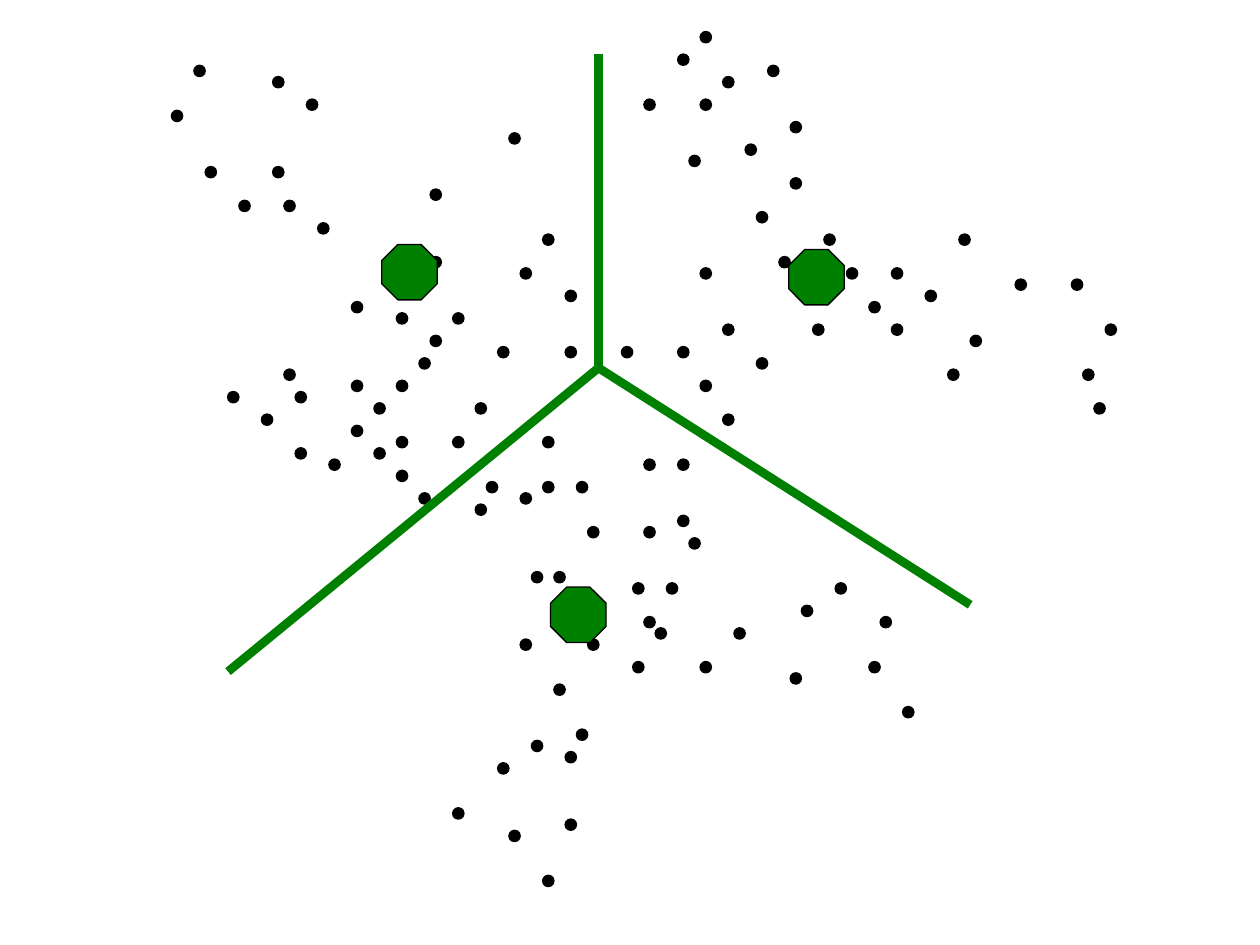
import dataclasses

import pptx
import pptx.dml.color
import pptx.enum.shapes
import pptx.oxml.ns
import pptx.util
from pptx.util import Inches

BLACK, GREEN = "000000", "008000"
SLIDE_WIDTH, SLIDE_HEIGHT = 10, 7.5
DOT_SIZE, CENTROID_SIZE = 0.09, 0.44

# Dots sit on a square grid: 84 steps fill the slide height.
GRID_STEP = SLIDE_HEIGHT / 84
GRID_LEFT, GRID_TOP = 1.36, 0.25

# The three boundaries all start where the clusters meet.
JUNCTION = (4.75, 2.92)
BOUNDARY_ENDS = {
    "left from bottom": (1.81, 5.33),
    "left from right": (4.75, 0.43),
    "right from bottom": (7.7, 4.8),
}


@dataclasses.dataclass
class Cluster:
    """Centroid corner in inches, and the grid columns that hold a dot in each grid row."""
    centroid: tuple
    columns_by_row: dict


BOTTOM = Cluster((4.37, 4.66), {
    36: [33], 38: [42, 45], 40: [28, 33, 36], 41: [31], 42: [27], 43: [45],
    44: [37, 42], 45: [46], 48: [32, 34], 49: [41, 44, 59], 51: [35, 56],
    52: [42, 63], 53: [43, 50], 54: [31, 37], 56: [41, 47, 62], 57: [55],
    58: [34], 60: [65], 62: [36], 63: [32], 64: [35], 65: [29],
    69: [25], 70: [35], 71: [30], 75: [33],
})
RIGHT = Cluster((6.26, 1.98), {
    0: [47], 2: [45], 3: [53], 4: [49], 6: [42, 47], 8: [55], 10: [51],
    11: [46], 13: [55], 16: [52], 18: [58, 70], 20: [54], 21: [47, 60, 64],
    22: [75, 80], 23: [67], 24: [62], 26: [49, 57, 64, 83], 27: [71],
    28: [40, 45], 29: [52], 30: [69, 81], 31: [47], 33: [82], 34: [49],
})
LEFT = Cluster((3.03, 1.94), {
    3: [2], 4: [9], 6: [12], 7: [0], 9: [30], 12: [3, 9], 14: [23],
    15: [6, 10], 17: [13], 18: [33], 20: [23], 21: [31], 23: [35], 24: [16],
    25: [20, 25], 27: [23], 28: [29, 35], 29: [22], 30: [10], 31: [16, 20],
    32: [5, 11], 33: [18, 27], 34: [8], 35: [16], 36: [20, 25],
    37: [11, 18], 38: [14], 39: [20], 41: [22],
})
CLUSTERS = [BOTTOM, RIGHT, LEFT]


def rgb(color):
    return pptx.dml.color.RGBColor.from_string(color)


def set_line(line, color, width):
    line.color.rgb = rgb(color)
    line.width = pptx.util.Pt(width)


def grid_position(column, row):
    """Turn a grid cell into left and top in inches."""
    return GRID_LEFT + column * GRID_STEP, GRID_TOP + row * GRID_STEP


def add_marker(shapes, kind, position, size, color):
    left, top = position
    marker = shapes.add_shape(kind, Inches(left), Inches(top), Inches(size), Inches(size))
    marker.shadow.inherit = False
    marker.fill.solid()
    marker.fill.fore_color.rgb = rgb(color)
    set_line(marker.line, BLACK, 0.75)
    return marker


def add_dots(shapes, cluster):
    for row, columns in cluster.columns_by_row.items():
        for column in columns:
            add_marker(shapes, pptx.enum.shapes.MSO_SHAPE.OVAL,
                       grid_position(column, row), DOT_SIZE, BLACK)


def add_centroid(shapes, cluster):
    octagon = add_marker(shapes, pptx.enum.shapes.MSO_SHAPE.OCTAGON,
                         cluster.centroid, CENTROID_SIZE, GREEN)
    octagon.adjustments[0] = 0.29


def add_boundary(shapes, end):
    """Draw a thick line from the junction outwards."""
    boundary = shapes.add_connector(
        pptx.enum.shapes.MSO_CONNECTOR.STRAIGHT, *map(Inches, JUNCTION + end))
    set_line(boundary.line, GREEN, 5)
    properties = boundary._element.spPr
    properties.append(properties.makeelement(pptx.oxml.ns.qn("a:effectLst"), {}))


def main():
    presentation = pptx.Presentation()
    size = {"slide_width": Inches(SLIDE_WIDTH), "slide_height": Inches(SLIDE_HEIGHT)}
    for name, value in size.items():
        setattr(presentation, name, value)
    slide = presentation.slides.add_slide(presentation.slide_layouts[6])

    dot_group = slide.shapes.add_group_shape()
    for cluster in CLUSTERS:
        add_dots(dot_group.shapes, cluster)

    boundary_group = slide.shapes.add_group_shape()
    for end in BOUNDARY_ENDS.values():
        add_boundary(boundary_group.shapes, end)

    for cluster in CLUSTERS:
        add_centroid(slide.shapes, cluster)

    presentation.save("out.pptx")


if __name__ == "__main__":
    main()
